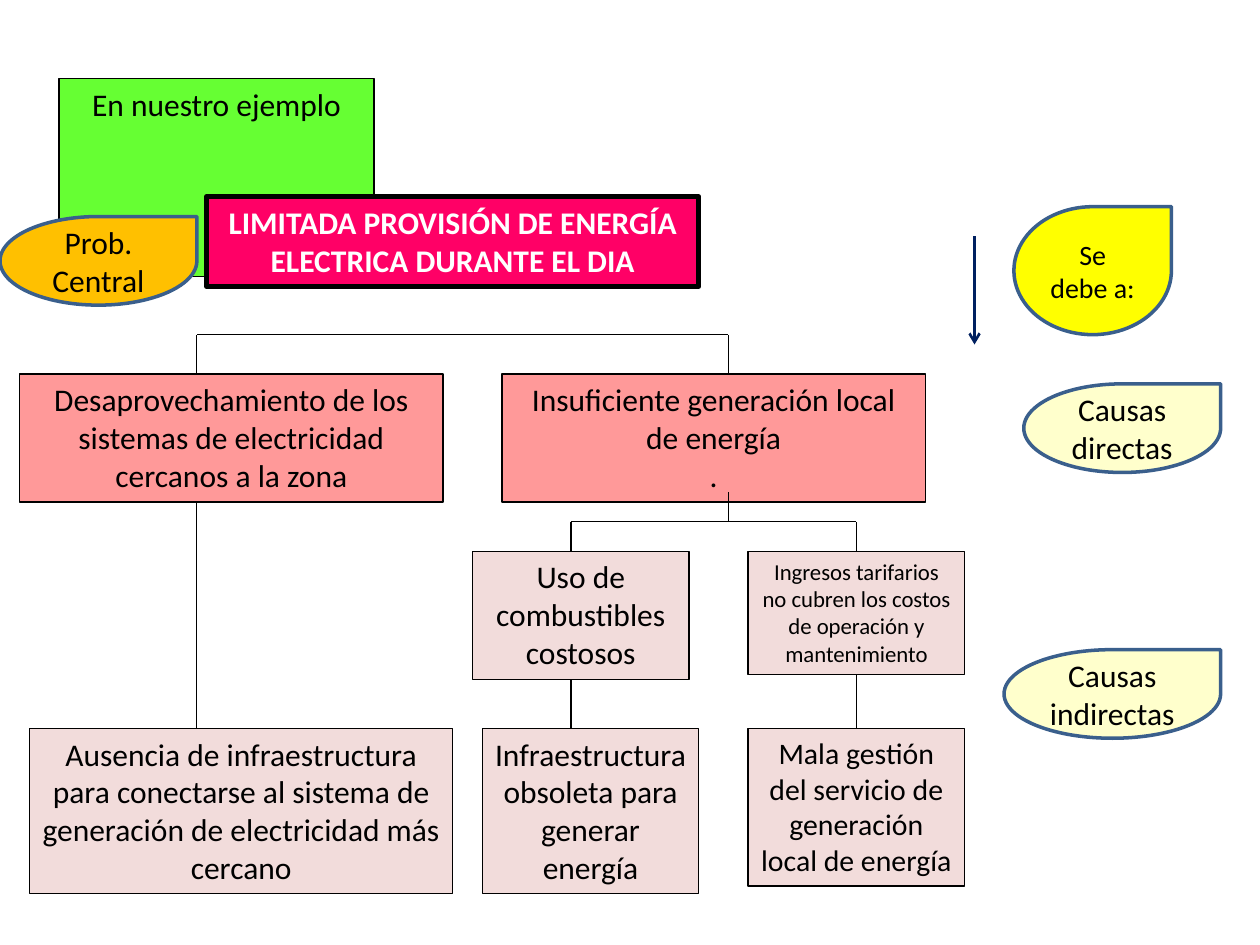
"""Build the cause tree slide for the limited energy supply example."""
from dataclasses import dataclass

from lxml.etree import SubElement
from pptx import Presentation
from pptx.dml.color import RGBColor as Rgb
from pptx.enum.shapes import MSO_CONNECTOR as Connector, MSO_SHAPE as Shape
from pptx.enum.text import MSO_ANCHOR as Anchor, MSO_AUTO_SIZE as Fit, PP_ALIGN as Align
from pptx.oxml.ns import qn
from pptx.util import Inches, Pt


@dataclass(frozen=True)
class Theme:
    font: str = "Calibri"
    ink: str = "000000"
    white: str = "FFFFFF"
    heading: str = "66FF33"
    problem: str = "FF0066"
    direct: str = "FF9999"
    indirect: str = "F2DCDB"
    label: str = "FFFFCC"
    reason: str = "FFFF00"
    central: str = "FFC000"
    outline: str = "3A5F8C"
    arrow: str = "002060"
    body: float = 18
    medium: float = 17
    note: float = 16
    small: float = 13
    thin: float = 0.75
    arrow_line: float = 1.5
    medium_line: float = 2
    thick: float = 3


theme = Theme()
deck = Presentation()
deck.slide_width, deck.slide_height = Inches(10), Inches(7.5)
column, row = deck.slide_width / 128, deck.slide_height / 96
page = deck.slides.add_slide(deck.slide_layouts[5])


def format_box(box, area, text, fill, size=theme.body, outline=theme.ink, width=theme.thin,
               color=theme.ink, bold=False, anchor=Anchor.TOP, fit=Fit.SHAPE_TO_FIT_TEXT):
    left, top, across, down = area
    box.left, box.top = int(left * column), int(top * row)
    box.width, box.height = int(across * column), int(down * row)
    box.fill.solid()
    box.fill.fore_color.rgb = Rgb.from_string(fill)
    box.line.color.rgb = Rgb.from_string(outline)
    box.line.width = Pt(width)
    frame = box.text_frame
    frame.text = text
    frame.word_wrap, frame.auto_size, frame.vertical_anchor = True, fit, anchor
    for para in frame.paragraphs:
        para.alignment = Align.CENTER
        for span in para.runs:
            span.font.name, span.font.size, span.font.bold = theme.font, Pt(size), bold
            span.font.color.rgb = Rgb.from_string(color)


def add_line(start, end, color=theme.ink, width=theme.thin):
    line = page.shapes.add_connector(
        Connector.STRAIGHT, int(start[0] * column), int(start[1] * row),
        int(end[0] * column), int(end[1] * row))
    line.line.color.rgb = Rgb.from_string(color)
    line.line.width = Pt(width)
    SubElement(line._element.spPr, qn("a:effectLst"))
    return line


format_box(page.shapes.title, (6, 8, 32, 5.1), "En nuestro ejemplo", theme.heading)

problem = page.shapes.add_shape(Shape.RECTANGLE, 0, 0, 0, 0)
problem.shadow.inherit = False
format_box(problem, (21, 20, 50, 9.1), "LIMITADA PROVISIÓN DE ENERGÍA ELECTRICA DURANTE EL DIA",
           theme.problem, width=theme.thick, color=theme.white, bold=True)

causes = {
    "unused": ((2, 38, 43, 13), theme.direct, theme.body,
               "Desaprovechamiento de los sistemas de electricidad cercanos a la zona"),
    "generation": ((51, 38, 43, 13), theme.direct, theme.body,
                   "Insuficiente generación local de energía\n."),
    "grid": ((3, 74, 43, 16.8), theme.indirect, theme.body,
             "Ausencia de infraestructura para conectarse al sistema de generación "
             "de electricidad más cercano"),
    "fuel": ((48, 56, 22, 13), theme.indirect, theme.body, "Uso de combustibles costosos"),
    "income": ((76, 56, 22, 12.5), theme.indirect, theme.small,
               "Ingresos tarifarios no cubren los costos de operación y mantenimiento"),
    "plant": ((49, 74, 22, 16.8), theme.indirect, theme.body,
              "Infraestructura obsoleta para generar energía"),
    "management": ((76, 74, 22, 16), theme.indirect, theme.medium,
                   "Mala gestión del servicio de generación local de energía"),
}
boxes = {}
for name, (area, fill, size, text) in causes.items():
    boxes[name] = page.shapes.add_shape(Shape.RECTANGLE, 0, 0, 0, 0)
    boxes[name].shadow.inherit = False
    format_box(boxes[name], area, text, fill, size)

branches = [
    ((20, 34), (74, 34)), ((20, 38), (20, 34)), ((74, 38), (74, 34)),
    ((74, 50), (74, 53)), ((58, 53), (87, 53)), ((58, 56), (58, 53)),
    ((58, 74), (58, 69)), ((20, 74), (20, 51)),
]
for start, end in branches:
    add_line(start, end)

income_branch = add_line((87, 56), (87, 53))
income_branch.begin_connect(boxes["income"], 0)
management_branch = add_line((87, 74), (87, 68.5))
management_branch.begin_connect(boxes["management"], 0)
management_branch.end_connect(boxes["income"], 2)

arrow = add_line((99, 24), (99, 35), theme.arrow, theme.arrow_line)
SubElement(arrow.line._get_or_add_ln(), qn("a:tailEnd"), type="arrow")

labels = [
    ((104, 39, 20, 9), "Causas directas", theme.label, theme.body),
    ((102, 66, 22, 9), "Causas indirectas", theme.label, theme.body),
    ((103, 21, 16, 13), "Se debe a:", theme.reason, theme.note),
    ((0, 22, 20, 9), "Prob. Central", theme.central, theme.body),
]
for area, text, fill, size in labels:
    label = page.shapes.add_shape(Shape.TEAR, 0, 0, 0, 0)
    label.shadow.inherit = False
    format_box(label, area, text, fill, size, theme.outline, theme.medium_line,
               anchor=Anchor.MIDDLE, fit=Fit.NONE)

deck.save("out.pptx")
